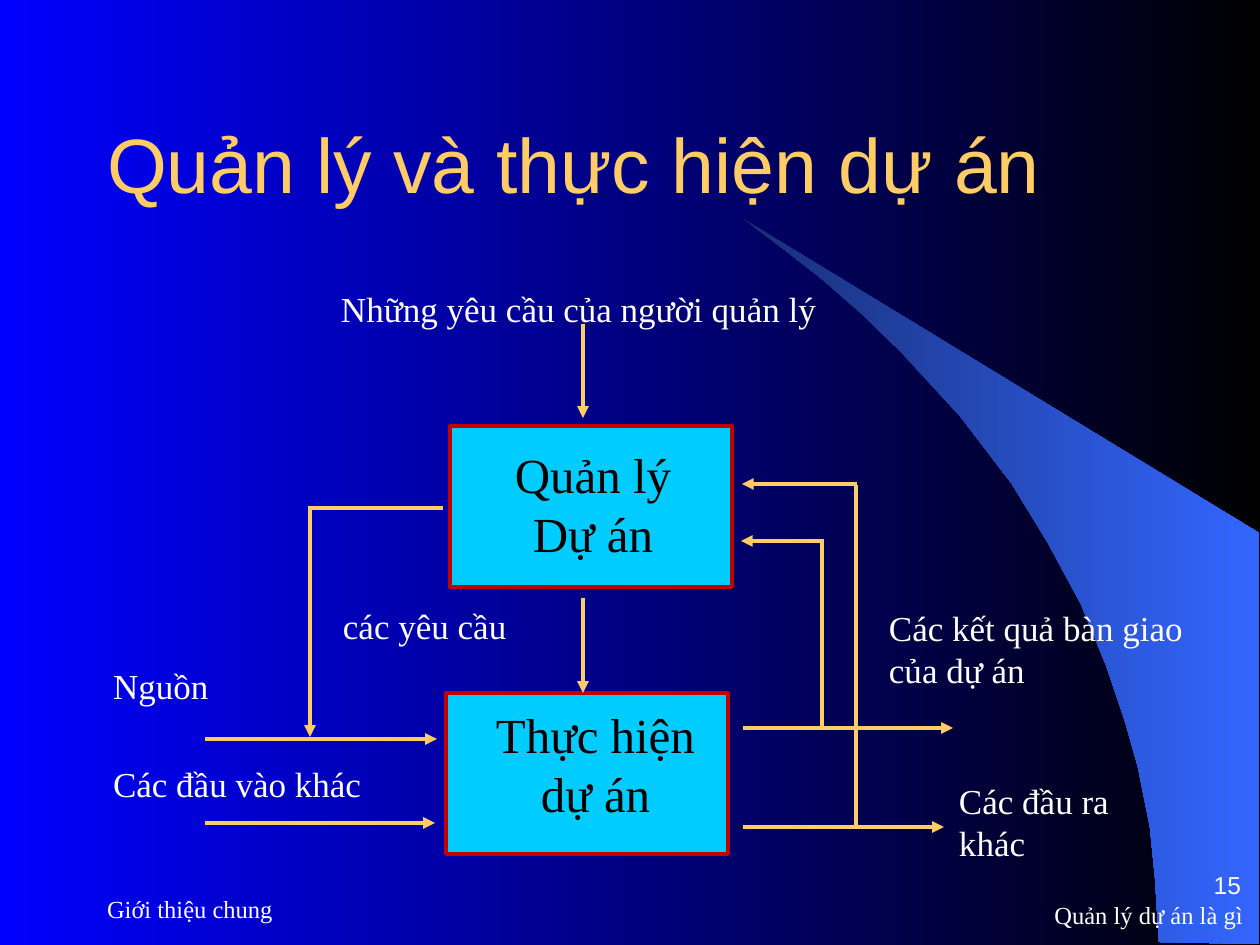
from lxml.etree import SubElement
from pptx import Presentation
from pptx.dml.color import RGBColor
from pptx.enum.shapes import MSO_CONNECTOR, MSO_SHAPE
from pptx.enum.text import MSO_ANCHOR, PP_ALIGN
from pptx.oxml.ns import qn
from pptx.util import Emu, Pt

PX_PER_INCH = 126
GOLD, WHITE, BLACK = "FFCC66", "FFFFFF", "000000"
SERIF, SANS = "Times New Roman", "Arial"


def px(length):
    return Emu(round(length * 914400 / PX_PER_INCH))


def color(value):
    return RGBColor.from_string(value)


def fill_gradient(fill, start, end):
    fill.gradient()
    fill.gradient_angle = 0
    for stop, value in zip(fill.gradient_stops, (start, end)):
        stop.color.rgb = color(value)


def add_text(slide, box, text, size, font=SERIF, ink=WHITE, align=PP_ALIGN.LEFT,
             anchor=MSO_ANCHOR.TOP, inset=(8, 4)):
    frame = slide.shapes.add_textbox(*map(px, box)).text_frame
    across, down = map(px, inset)
    frame_format = {
        "word_wrap": True, "vertical_anchor": anchor,
        "margin_left": across, "margin_right": across,
        "margin_top": down, "margin_bottom": down,
    }
    for name, value in frame_format.items():
        setattr(frame, name, value)
    frame.text = text
    for paragraph in frame.paragraphs:
        paragraph.alignment = align
        for name, value in {"size": Pt(size), "name": font}.items():
            setattr(paragraph.runs[0].font, name, value)
        paragraph.runs[0].font.color.rgb = color(ink)


def add_flow(slide, start, end, arrow):
    flow = slide.shapes.add_connector(MSO_CONNECTOR.STRAIGHT, *map(px, start + end))
    flow.line.color.rgb = color(GOLD)
    flow.line.width = Pt(2.25)
    if arrow:
        SubElement(flow.line._get_or_add_ln(), qn("a:tailEnd"), type="triangle")
    SubElement(flow._element.spPr, qn("a:effectLst"))


def draw_backdrop(slide, left, top):
    fill_gradient(slide.background.fill, "0000FF", "000000")
    outline = [
        (417, 724), (517, 726), (517, 315), (0, 0), (44, 33), (81, 62),
        (121, 97), (160, 135), (218, 198), (270, 266), (306, 325), (339, 386),
        (364, 447), (383, 503), (396, 549), (408, 609), (413, 659),
    ]
    points = [(px(left + x), px(top + y)) for x, y in outline]
    builder = slide.shapes.build_freeform(*points[0], scale=1.0)
    builder.add_line_segments(points[1:], close=True)
    swoosh = builder.convert_to_shape()
    swoosh.shadow.inherit = False
    fill_gradient(swoosh.fill, "182F76", "3366FF")
    swoosh.line.fill.background()


def draw_title(slide, box):
    add_text(slide, box, "Quản lý và thực hiện dự án", 44, SANS, GOLD,
             anchor=MSO_ANCHOR.MIDDLE, inset=(13, 6))


def draw_diagram(slide, left, top):
    stages = [
        ("Quản lý\nDự án", (350, 146), (362, 161, 262, 136)),
        ("Thực hiện\ndự án", (346, 413), (367, 421, 257, 136)),
    ]
    for name, (x, y), (text_x, text_y, width, height) in stages:
        stage = slide.shapes.add_shape(
            MSO_SHAPE.RECTANGLE, *map(px, (left + x, top + y, 282, 161)))
        stage.shadow.inherit = False
        stage.fill.solid()
        stage.fill.fore_color.rgb = color("00CCFF")
        stage.line.color.rgb = color("C10000")
        stage.line.width = Pt(2.25)
        add_text(slide, (left + text_x, top + text_y, width, height), name, 28,
                 ink=BLACK, align=PP_ALIGN.CENTER)

    flows = [
        ((483, 44), (483, 138), True),
        ((483, 318), (483, 413), True),
        ((105, 459), (337, 459), True),
        ((105, 543), (335, 543), True),
        ((643, 448), (853, 448), True),
        ((643, 547), (844, 547), True),
        ((722, 449), (722, 259), False),
        ((723, 261), (641, 261), True),
        ((756, 549), (756, 205), False),
        ((757, 204), (642, 204), True),
        ((343, 228), (208, 228), False),
        ((210, 230), (210, 457), True),
    ]
    for (x1, y1), (x2, y2), arrow in flows:
        add_flow(slide, (left + x1, top + y1), (left + x2, top + y2), arrow)

    labels = [
        ("Những yêu cầu của người quản lý", (233, 4, 495, 66)),
        ("các yêu cầu", (235, 321, 185, 66)),
        ("Nguồn", (5, 380, 117, 66)),
        ("Các đầu vào khác", (5, 479, 268, 66)),
        ("Các kết quả bàn giao\ncủa dự án", (781, 322, 316, 118)),
        ("Các đầu ra\nkhác", (851, 495, 171, 118)),
    ]
    for label, (x, y, width, height) in labels:
        add_text(slide, (left + x, top + y, width, height), label, 20)


def draw_footer(slide, left, top):
    add_text(slide, (left, top + 30, 588, 63), "Giới thiệu chung", 14,
             anchor=MSO_ANCHOR.MIDDLE, inset=(13, 6))
    add_text(slide, (left + 900, top + 41, 262, 53), "Quản lý dự án là gì", 14,
             align=PP_ALIGN.RIGHT, anchor=MSO_ANCHOR.MIDDLE, inset=(13, 6))
    add_text(slide, (left + 898, top, 262, 53), "15", 14, SANS,
             align=PP_ALIGN.RIGHT, anchor=MSO_ANCHOR.BOTTOM, inset=(13, 0))


def main():
    presentation = Presentation()
    presentation.slide_width = px(1260)
    presentation.slide_height = px(945)
    slide = presentation.slides.add_slide(presentation.slide_layouts[6])
    draw_backdrop(slide, 742, 218)
    draw_footer(slide, 94, 847)
    draw_title(slide, (94, 84, 1114, 158))
    draw_diagram(slide, 100, 280)
    presentation.save("out.pptx")


if __name__ == "__main__":
    main()
